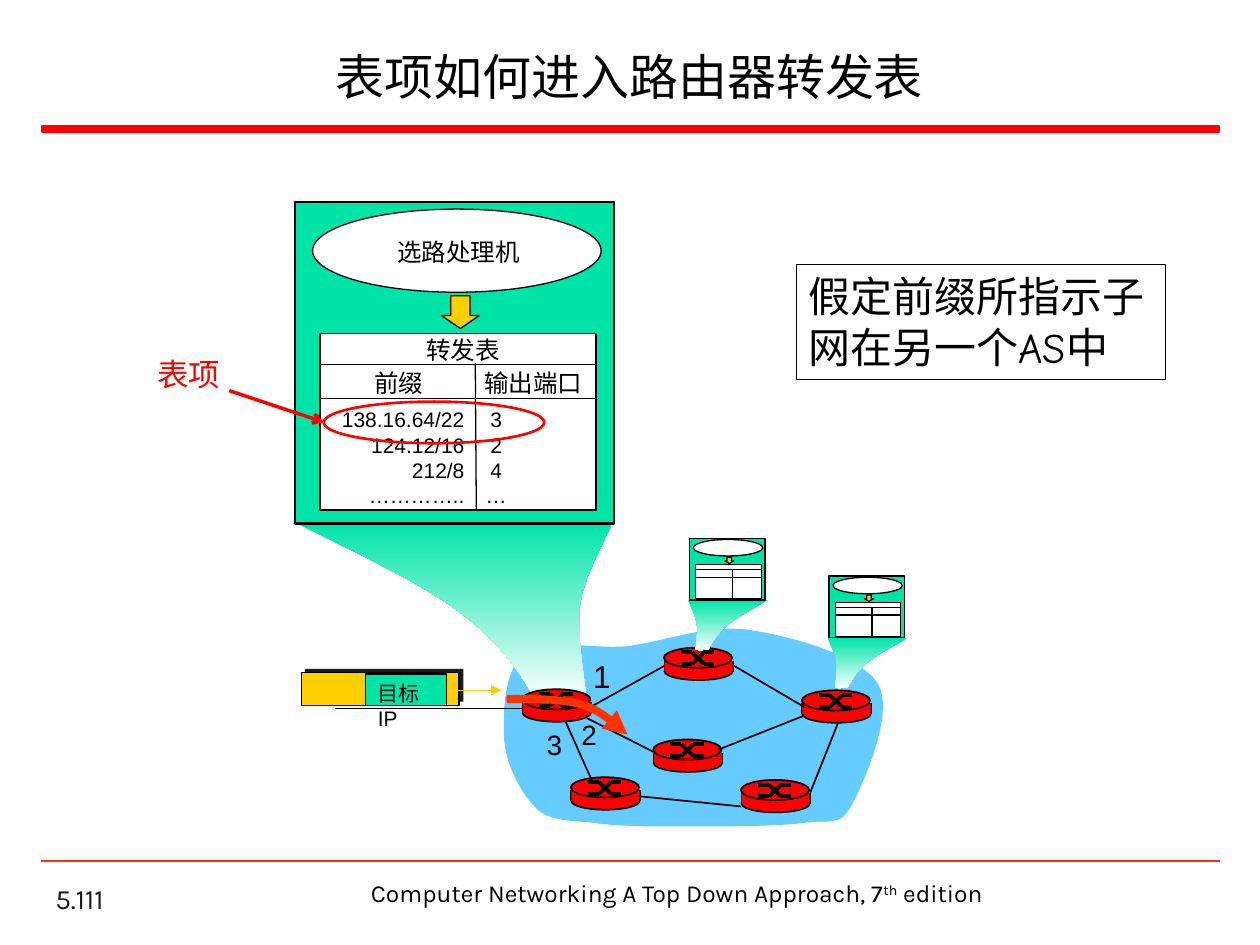
from dataclasses import dataclass
from typing import NamedTuple, Optional

from lxml import etree
from pptx import Presentation
from pptx import util as u
from pptx.dml.color import RGBColor
from pptx.enum import shapes, text
from pptx.oxml.ns import qn


@dataclass(frozen=True)
class Theme:
    black: str = "000000"
    ink: str = "1C1C1C"
    white: str = "FFFFFF"
    red: str = "FF0000"
    orange: str = "FF3300"
    green: str = "00E4A8"
    yellow: str = "FFCF01"
    blue: str = "66CCFF"
    heading: str = "Karla"
    body: str = "Arial"
    note: str = "Comic Neue"
    title: float = 28
    remark: float = 24
    large: float = 18
    medium: float = 16
    label: float = 14
    small: float = 12


THEME = Theme()
KIND = shapes.MSO_SHAPE


class Box(NamedTuple):
    left: float
    top: float
    width: float
    height: float

    def shift(self, x: float, y: float) -> "Box":
        return Box(self.left + x, self.top + y, self.width, self.height)


class Point(NamedTuple):
    x: float
    y: float


class Segment(NamedTuple):
    start: Point
    end: Point


class Curve(NamedTuple):
    box: Box
    points: tuple
    closed: bool = True


@dataclass(frozen=True)
class Label:
    box: Box
    lines: tuple
    size: float
    align: str = "LEFT"
    font: str = THEME.body
    color: str = THEME.black
    wrap: bool = True
    anchor: str = "TOP"


ROUTERS = (Point(298.4, 393.9), Point(326.2, 444.2), Point(379.4, 370.1),
           Point(373.3, 422.6), Point(423.4, 445.7), Point(458.2, 394.5))
FIRST_LINK = Segment(Point(337.7, 403.9), Point(380.2, 380.2))
LINKS = tuple(Segment(Point(*ends[:2]), Point(*ends[2:])) for ends in (
    (419, 380.2, 459.4, 403.9), (335.5, 410.4, 373.7, 429.8),
    (410.4, 428.4, 459.4, 409), (463, 452.9, 478.8, 413.3),
    (423.4, 460.8, 365, 455), (338.4, 446.4, 323.3, 412.6)))
SMALL_PANELS = (Point(473.8, 329.2), Point(394, 307.6))
CLOUD = Curve(Box(287.3, 356.4, 223.9, 116.6), (
    (288, 416.9),
    (287.3, 402.5), (289.4, 380.2), (301, 372.2),
    (312.5, 364.3), (335.5, 370.8), (357.1, 369.4),
    (378, 367.2), (403.9, 356.4), (428.4, 360),
    (452.2, 363.6), (491.8, 374.4), (501.8, 391),
    (511.2, 407.5), (493.9, 446.4), (486.7, 460.1),
    (479.5, 473), (475.2, 468), (459.4, 470.2),
    (443.5, 472.3), (412.6, 472.3), (392.4, 472.3),
    (372.2, 472.3), (353.5, 472.3), (339.1, 470.2),
    (324.7, 468.7), (313.2, 469.4), (305.3, 460.8),
    (296.6, 451.4), (287.3, 434.2), (288, 416.9)))
LARGE_FUNNEL = Curve(Box(169.2, 298.8, 180.7, 102.2), (
    (169.2, 298.8), (240.5, 334.1), (276.5, 349.2), (303.8, 396),
    (317.5, 395.3), (321.8, 400.3), (334.8, 396.7),
    (327.6, 342), (329, 342.7), (349.9, 298.8)))
SMALL_FUNNEL = Curve(Box(-0.7, 35.3, 45.4, 29.5), (
    (44.7, 35.3), (27, 45.4), (17.8, 49.7), (10.8, 63.4),
    (8, 63.4), (6.5, 64.8), (3.6, 63.4),
    (5.1, 47.6), (5.1, 48.3), (-0.7, 35.3)))
ROUTE = Curve(Box(289.4, 398.9, 69.2, 20.9), (
    (289.4, 399.6), (301.7, 398.9), (319, 399.6), (329.8, 401.8),
    (341.3, 405.4), (352.1, 413.3), (358.6, 419.8)), False)
LABELS = (
    Label(Box(331.9, 372.2, 24.5, 28.8), ("1",), THEME.large, wrap=False),
    Label(Box(325.2, 406.5, 23.8, 26.6), ("2",), THEME.medium, wrap=False),
    Label(Box(305.3, 412.4, 23.8, 26.6), ("3",), THEME.medium, wrap=False),
    Label(Box(208.8, 385.2, 52, 21.6), ("目标 IP",), THEME.small),
    Label(Box(188.6, 131.8, 146.9, 23.8), ("选路处理机",), THEME.label, "CENTER"),
    Label(Box(236.5, 187.9, 56.9, 24.5), ("转发表",), THEME.label, wrap=False),
    Label(Box(180, 206.6, 95.8, 23.8), ("前缀",), THEME.label, "CENTER"),
    Label(Box(263.7, 206.6, 82.1, 24.5), ("输出端口",), THEME.label, "CENTER"),
    Label(Box(185.4, 229, 87.1, 65.5),
          ("138.16.64/22", "124.12/16", "212/8", "…………..",),
          THEME.small, "RIGHT", wrap=False),
    Label(Box(270.2, 229, 26.6, 65.5), ("3", "2", "4", "…"),
          THEME.small, "CENTER", wrap=False),
    Label(Box(82.8, 199.4, 51.1, 28.8), ("表项",), THEME.large,
          color=THEME.red, wrap=False),
)


def style(shape, fill: Optional[str], line: Optional[str], weight: float) -> None:
    shape.shadow.inherit = False
    if fill:
        shape.fill.solid()
        shape.fill.fore_color.rgb = RGBColor.from_string(fill)
    else:
        shape.fill.background()
    if line:
        shape.line.color.rgb = RGBColor.from_string(line)
        shape.line.width = u.Pt(weight)
    else:
        shape.line.fill.background()


def draw_shape(canvas, kind, box: Box, fill: Optional[str] = None,
               line: Optional[str] = THEME.black, weight: float = 0.75):
    shape = canvas.shapes.add_shape(kind, *map(u.Pt, box))
    style(shape, fill, line, weight)
    return shape


def add_arrowhead(shape, head: str) -> None:
    outline = shape._element.spPr.find(qn("a:ln"))
    etree.SubElement(outline, qn("a:tailEnd"), type=head)


def draw_line(canvas, segment: Segment, color: str = THEME.black,
              weight: float = 0.75, head: str = "") -> None:
    connector = canvas.shapes.add_connector(
        shapes.MSO_CONNECTOR.STRAIGHT, *map(u.Pt, segment.start + segment.end))
    connector.line.color.rgb = RGBColor.from_string(color)
    connector.line.width = u.Pt(weight)
    if head:
        add_arrowhead(connector, head)
    etree.SubElement(connector._element.spPr, qn("a:effectLst"))


def draw_curve(canvas, curve: Curve, origin: Point = Point(0, 0)):
    left, top, width, height = curve.box.shift(*origin)
    builder = canvas.shapes.build_freeform(u.Pt(left), u.Pt(top))
    builder.add_line_segments([(u.Pt(left + width), u.Pt(top + height))], close=False)
    shape = builder.convert_to_shape()
    outline = next(shape._element.iter(qn("a:path")))
    for child in list(outline):
        outline.remove(child)
    groups = [("a:moveTo", curve.points[:1])]
    groups += [("a:cubicBezTo", curve.points[index:index + 3])
               for index in range(1, len(curve.points), 3)]
    for tag, points in groups:
        command = etree.SubElement(outline, qn(tag))
        for x, y in points:
            etree.SubElement(command, qn("a:pt"), x=str(u.Pt(x - curve.box.left)),
                             y=str(u.Pt(y - curve.box.top)))
    if curve.closed:
        etree.SubElement(outline, qn("a:close"))
    return shape


def draw_funnel(canvas, curve: Curve, origin: Point = Point(0, 0)) -> None:
    funnel = draw_curve(canvas, curve, origin)
    style(funnel, None, None, 0)
    funnel.fill.gradient()
    funnel.fill.gradient_angle = 270
    for stop, color in zip(funnel.fill.gradient_stops, (THEME.green, THEME.white)):
        stop.color.rgb = RGBColor.from_string(color)


def write(shape, label: Label) -> None:
    frame = shape.text_frame
    frame.word_wrap = label.wrap
    frame.vertical_anchor = text.MSO_ANCHOR[label.anchor]
    for index, line in enumerate(label.lines):
        paragraph = frame.add_paragraph() if index else frame.paragraphs[0]
        paragraph.alignment = text.PP_ALIGN[label.align]
        paragraph.font.size = u.Pt(label.size)
        paragraph.font.name = label.font
        paragraph.font.color.rgb = RGBColor.from_string(label.color)
        paragraph.add_run().text = line


def draw_label(slide, label: Label):
    shape = slide.shapes.add_textbox(*map(u.Pt, label.box))
    write(shape, label)
    return shape


def draw_router(slide, origin: Point) -> None:
    router = slide.shapes.add_group_shape()
    x, y = origin
    draw_shape(router, KIND.OVAL, Box(x + 0.3, y + 8.5, 39, 10), THEME.red, weight=1)
    for side in (x + 0.3, x + 39.4):
        draw_line(router, Segment(Point(side, y + 7.5), Point(side, y + 13.7)), weight=1)
    draw_shape(router, KIND.RECTANGLE, Box(x + 0.3, y + 7.5, 39, 6), THEME.red, None)
    draw_shape(router, KIND.OVAL, Box(x, y, 39, 11.5), THEME.red, weight=1)
    upper, lower = y + 2.7, y + 9.4
    for start, end in ((upper, lower), (lower, upper)):
        bends = (Point(x + 9.6, start), Point(x + 16, start),
                 Point(x + 23, end), Point(x + 28.8, end))
        for pair in zip(bends, bends[1:]):
            draw_line(router, Segment(*pair), weight=2.25)


def draw_down_arrow(canvas, box: Box) -> None:
    arrow = draw_shape(canvas, KIND.RIGHT_ARROW, box, THEME.yellow)
    arrow.rotation = 90
    arrow.adjustments[0], arrow.adjustments[1] = 0.512, 0.397


def draw_small_panel(slide, origin: Point) -> None:
    panel = slide.shapes.add_group_shape()
    x, y = origin
    for kind, box, fill in (
            (KIND.RECTANGLE, Box(0, 0, 43.2, 35.3), THEME.green),
            (KIND.OVAL, Box(2.2, 0.7, 39.6, 9.4), THEME.white),
            (KIND.RECTANGLE, Box(3.6, 15.1, 37.4, 19.4), THEME.white)):
        draw_shape(panel, kind, box.shift(x, y), fill)
    draw_line(panel, Segment(Point(x + 24.5, y + 18), Point(x + 24.5, y + 34.6)))
    for row in (22.3, 18):
        draw_line(panel, Segment(Point(x + 3.6, y + row), Point(x + 41, y + row)))
    draw_down_arrow(panel, Box(20.9, 10.1, 3.6, 5).shift(x, y))


def draw_frame(slide) -> None:
    draw_label(slide, Label(Box(24.5, 502.7, 149.8, 23.8), ("5.111",), THEME.medium,
                            font=THEME.heading, color=THEME.ink, anchor="BOTTOM"))
    draw_shape(slide, KIND.RECTANGLE, Box(23.8, 72, 672.7, 3.6), THEME.red, THEME.red, 1)
    draw_line(slide, Segment(Point(23.2, 492), Point(697, 492)), THEME.orange, 1.5)
    footer = draw_label(slide, Label(
        Box(203.8, 498.2, 365.8, 24.5), ("Computer Networking A Top Down Approach, 7",),
        THEME.label, "CENTER", THEME.heading))
    paragraph = footer.text_frame.paragraphs[0]
    ordinal = paragraph.add_run()
    ordinal.text = "th"
    ordinal._r.get_or_add_rPr().set("baseline", "30000")
    paragraph.add_run().text = " edition"
    draw_label(slide, Label(Box(26.6, 18, 666, 50.4), ("表项如何进入路由器转发表",),
                            THEME.title, "CENTER", THEME.heading, anchor="MIDDLE"))


def draw_network(slide) -> None:
    style(draw_curve(slide, CLOUD), THEME.blue, None, 0)
    draw_funnel(slide, LARGE_FUNNEL)
    draw_line(slide, FIRST_LINK, weight=1)
    for origin in ROUTERS:
        draw_router(slide, origin)
    for link in LINKS:
        draw_line(slide, link, weight=1)


def draw_packet(slide) -> None:
    draw_shape(slide, KIND.RECTANGLE, Box(174.2, 382.3, 90.7, 18.7), THEME.ink, None)
    draw_shape(slide, KIND.RECTANGLE, Box(172.3, 384.3, 90, 18.7), THEME.yellow)
    draw_line(slide, Segment(Point(253.4, 394.4), Point(286.6, 394.4)),
              THEME.yellow, head="triangle")
    draw_shape(slide, KIND.RECTANGLE, Box(208.8, 385.2, 46.6, 18), THEME.green)
    draw_line(slide, Segment(Point(298.1, 404.8), Point(191.7, 404.8)))


def draw_large_panel(slide) -> None:
    draw_shape(slide, KIND.RECTANGLE, Box(168.7, 115.4, 182.2, 183.6), THEME.green, weight=1.5)
    draw_shape(slide, KIND.OVAL, Box(178.6, 119.5, 164.9, 47.5), THEME.white)
    draw_shape(slide, KIND.RECTANGLE, Box(182.9, 190.8, 157.7, 100.7), THEME.white)
    draw_line(slide, Segment(Point(271.6, 207.4), Point(272.2, 291.6)))
    for row in (227.6, 208.2):
        draw_line(slide, Segment(Point(182.7, row), Point(340.4, row)))
    draw_down_arrow(slide, Box(253.7, 167.6, 18.7, 21.6))


def main() -> None:
    presentation = Presentation()
    presentation.slide_width, presentation.slide_height = u.Pt(720), u.Pt(540)
    slide = presentation.slides.add_slide(presentation.slide_layouts[6])
    draw_frame(slide)
    draw_network(slide)
    draw_large_panel(slide)
    draw_packet(slide)
    for label in LABELS:
        draw_label(slide, label)
    route = draw_curve(slide, ROUTE)
    style(route, None, THEME.orange, 4.5)
    add_arrowhead(route, "triangle")
    for origin in SMALL_PANELS:
        draw_funnel(slide, SMALL_FUNNEL, origin)
    for origin in reversed(SMALL_PANELS):
        draw_small_panel(slide, origin)
    draw_shape(slide, KIND.OVAL, Box(185, 229.5, 126, 23.8), line=THEME.red, weight=1.5)
    draw_line(slide, Segment(Point(131, 223.2), Point(185, 241.2)), THEME.red, 2, "arrow")
    remark = Label(Box(455, 151.2, 211, 65.5), ("假定前缀所指示子网在另一个AS中",),
                   THEME.remark, font=THEME.note)
    write(draw_shape(slide, KIND.RECTANGLE, remark.box), remark)
    presentation.save("out.pptx")


if __name__ == "__main__":
    main()
